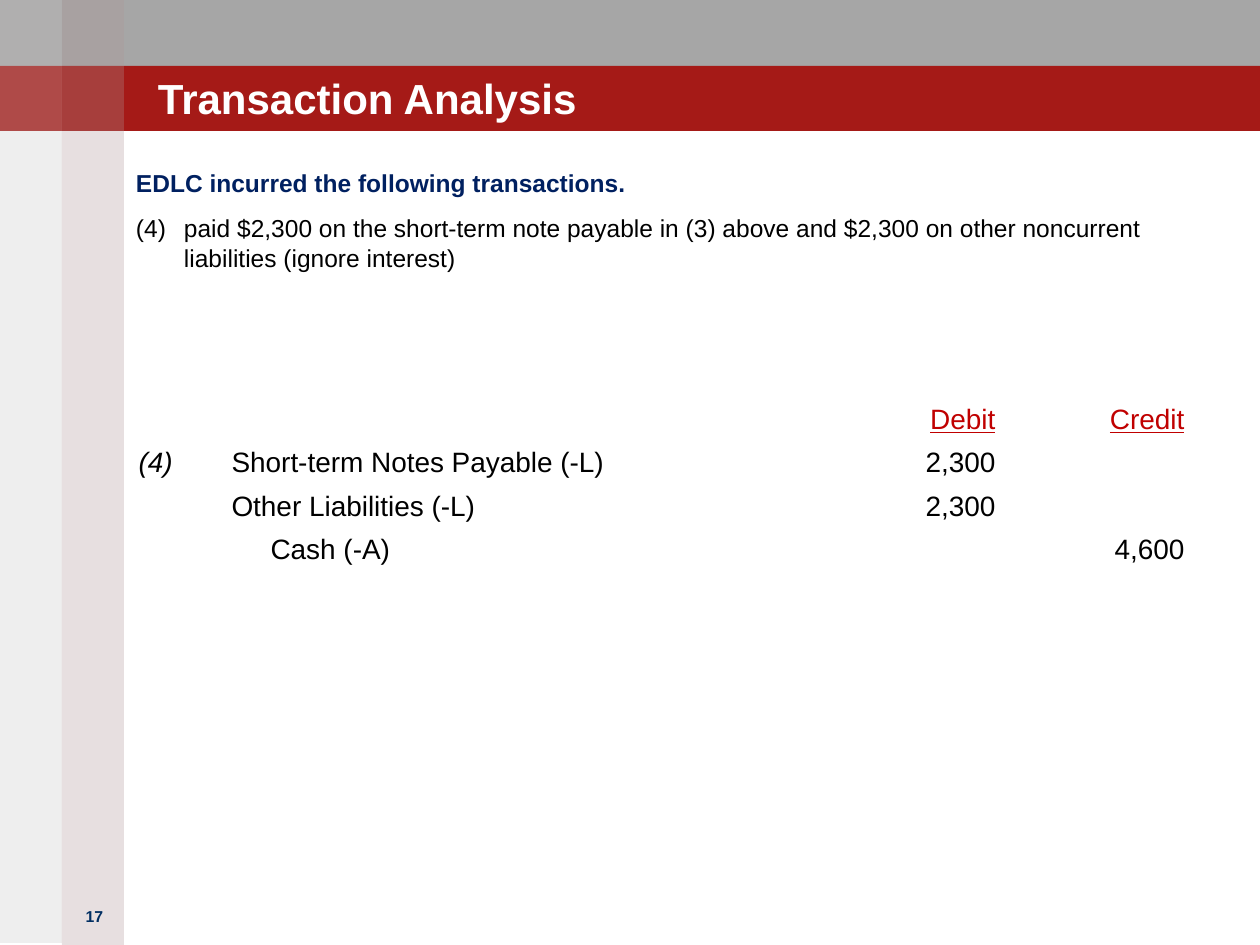
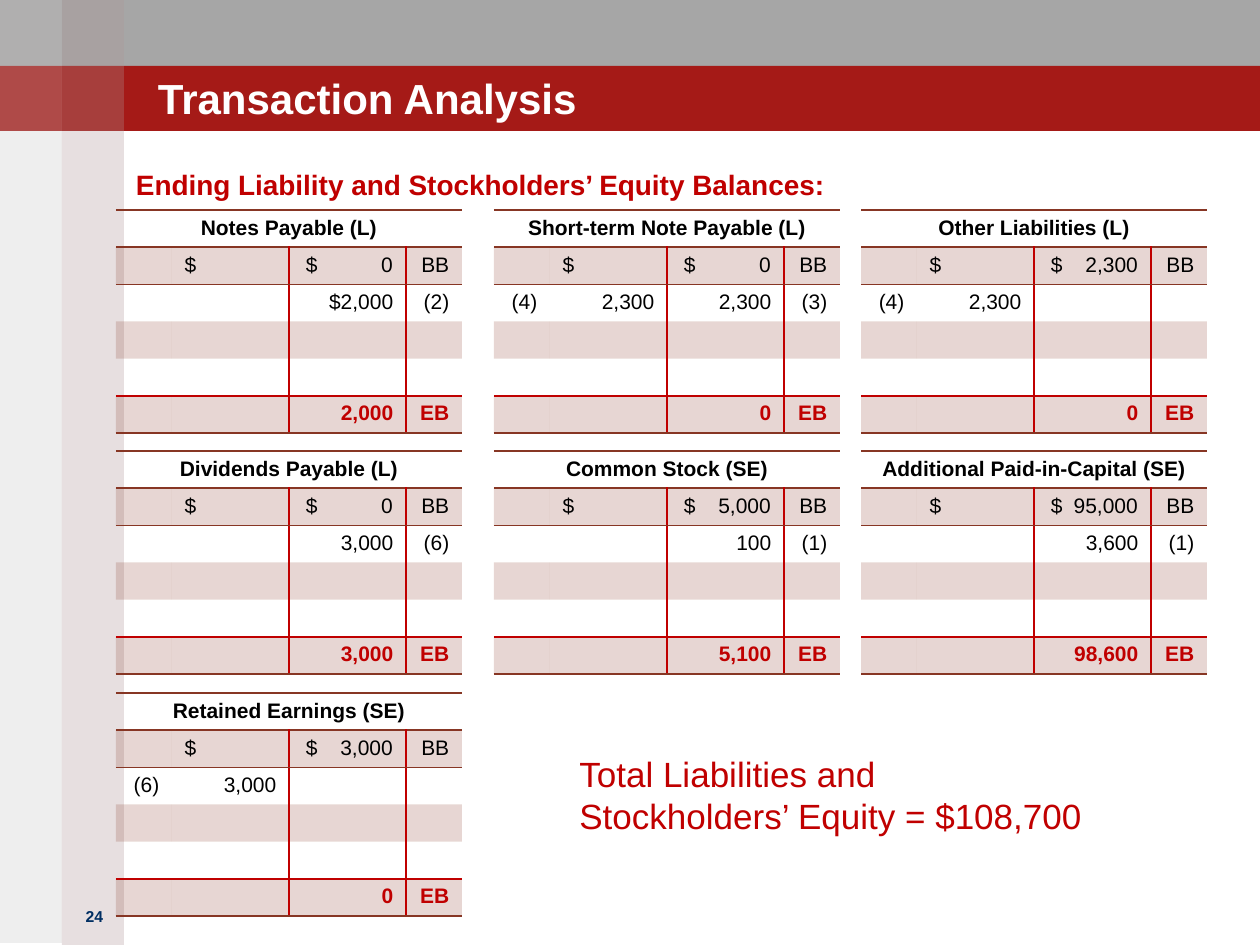
from lxml.etree import SubElement
from pptx import Presentation
from pptx.dml.color import RGBColor
from pptx.enum.shapes import MSO_SHAPE
from pptx.enum.text import MSO_ANCHOR, PP_ALIGN
from pptx.oxml.ns import qn
from pptx.util import Pt

PX = 914400 / 126
FONT = "Arial"
NO_STYLE = "{2D5ABB26-0587-4C30-8999-92F81FD0307C}"

GRAY = RGBColor(0xA6, 0xA6, 0xA6)
BRICK = RGBColor(0xA5, 0x1A, 0x17)
ROSE = RGBColor(0xA0, 0x82, 0x84)
ASH = RGBColor(0x93, 0x8F, 0x8F)
WHITE = RGBColor(0xFF, 0xFF, 0xFF)
BLACK = RGBColor(0, 0, 0)
NAVY = RGBColor(0x00, 0x20, 0x60)
NUMBER_BLUE = RGBColor(0x00, 0x2E, 0x62)
RED = RGBColor(0xC0, 0, 0)
BROWN = RGBColor(0x87, 0x36, 0x24)

TITLE = "Transaction Analysis"
BANDS = [
    (0, 0, 1260, 66, GRAY, 100),
    (0, 66, 1260, 65, BRICK, 100),
    (62, 0, 62, 945, ROSE, 25),
    (0, 0, 62, 943, ASH, 15),
    (62, 0, 62, 66, WHITE, 5),
    (0, 0, 62, 66, WHITE, 15),
    (62, 66, 62, 65, WHITE, 5),
    (0, 66, 62, 65, WHITE, 15),
]

INTRO = "EDLC incurred the following transactions."
TRANSACTION = ("paid $2,300 on the short-term note payable in (3) above "
               "and $2,300 on other noncurrent liabilities (ignore interest)")
JOURNAL = [
    ("", "", "Debit", "Credit"),
    ("(4)", "Short-term Notes Payable (-L)", "2,300", ""),
    ("", "Other Liabilities (-L)", "2,300", ""),
    ("", "Cash (-A)", "", "4,600"),
]
JOURNAL_COLS = (93, 631, 158, 189)
JOURNAL_ROW = 43.5

BALANCES = "Ending Liability and Stockholders’ Equity Balances:"
TOTAL = ("Total Liabilities and", "Stockholders’ Equity = $108,700")
ACCOUNT_X = (116, 494, 861)
ACCOUNT_Y = (210, 451, 693)
ACCOUNT_COLS = (56, 117, 117, 56)
ACCOUNT_ROW = 36
ACCOUNTS = [
    (0, 0, "Notes Payable (L)", "0", ("", "", "$2,000", "(2)"), "2,000"),
    (1, 0, "Short-term Note Payable (L)", "0", ("(4)", "2,300", "2,300", "(3)"), "0"),
    (2, 0, "Other Liabilities (L)", "2,300", ("(4)", "2,300", "", ""), "0"),
    (0, 1, "Dividends Payable (L)", "0", ("", "", "3,000", "(6)"), "3,000"),
    (0, 2, "Retained Earnings (SE)", "3,000", ("(6)", "3,000", "", ""), "0"),
    (1, 1, "Common Stock (SE)", "5,000", ("", "", "100", "(1)"), "5,100"),
    (2, 1, "Additional Paid-in-Capital (SE)", "95,000", ("", "", "3,600", "(1)"), "98,600"),
]


def emu(*px):
    return [round(v * PX) for v in px]


def set_alpha(fill_parent, percent):
    color = fill_parent.find(qn("a:solidFill"))[0]
    SubElement(color, qn("a:alpha"), val=str(percent * 1000))


def write(p, text, size, color=BLACK, bold=False, italic=False, underline=False):
    if not text:
        SubElement(p._p, qn("a:endParaRPr"), sz=str(size * 100))
        return
    r = p.add_run()
    r.text = text
    f = r.font
    f.name, f.size, f.bold, f.italic, f.underline = FONT, Pt(size), bold, italic, underline
    f.color.rgb = color


def add_text(s, x, y, w, h, inset=True, wrap=True):
    tf = s.shapes.add_textbox(*emu(x, y, w, h)).text_frame
    tf.word_wrap = wrap
    if not inset:
        tf.margin_left = tf.margin_right = tf.margin_top = tf.margin_bottom = 0
    return tf


def add_slide(prs, number):
    s = prs.slides.add_slide(prs.slide_layouts[6])
    for x, y, w, h, color, alpha in BANDS:
        band = s.shapes.add_shape(MSO_SHAPE.RECTANGLE, *emu(x, y, w, h))
        band.shadow.inherit = False
        band.fill.solid()
        band.fill.fore_color.rgb = color
        band.line.fill.background()
        if alpha < 100:
            set_alpha(band._element.spPr, alpha)
    p = add_text(s, 63, 901, 63, 63).paragraphs[0]
    p.alignment = PP_ALIGN.CENTER
    write(p, str(number), 9, NUMBER_BLUE, bold=True)
    tf = add_text(s, 158, 39, 998, 84, inset=False)
    tf.vertical_anchor = MSO_ANCHOR.BOTTOM
    write(tf.paragraphs[0], TITLE, 24, WHITE, bold=True)
    return s


def add_body(s, heading, size, color):
    tf = add_text(s, 136, 168, 1061, 735, inset=False)
    p = tf.paragraphs[0]
    p.space_before, p.space_after = Pt(3), Pt(6)
    write(p, heading, size, color, bold=True)
    return tf


def add_numbered(tf, text, start):
    p = tf.add_paragraph()
    p.space_before, p.space_after = Pt(3), Pt(6)
    pPr = p._p.get_or_add_pPr()
    indent, = emu(48)
    pPr.set("marL", str(indent))
    pPr.set("indent", str(-indent))
    SubElement(pPr, qn("a:buFont"), typeface=FONT)
    SubElement(pPr, qn("a:buAutoNum"), type="arabicParenBoth", startAt=str(start))
    write(p, text, 14)


def add_grid(s, x, y, cols, row_h, rows, margin):
    shape = s.shapes.add_table(rows, len(cols), *emu(x, y, sum(cols), row_h * rows))
    table = shape.table
    table.first_row = table.horz_banding = False
    table._tbl.tblPr.find(qn("a:tableStyleId")).text = NO_STYLE
    for col, w in zip(table.columns, emu(*cols)):
        col.width = w
    for row in table.rows:
        row.height, = emu(row_h)
    for cell in table.iter_cells():
        cell.margin_top, cell.margin_bottom = emu(margin, margin)
        cell.fill.background()
    return table


def add_journal(s):
    table = add_grid(s, 126, 399, JOURNAL_COLS, JOURNAL_ROW, len(JOURNAL), 5)
    for i, row in enumerate(JOURNAL):
        for j, text in enumerate(row):
            p = table.cell(i, j).text_frame.paragraphs[0]
            if j > 1:
                p.alignment = PP_ALIGN.RIGHT
            if text.startswith("Cash"):
                p._p.get_or_add_pPr().set("marL", str(emu(39)[0]))
            write(p, text, 16, RED if i == 0 else BLACK, italic=j == 0, underline=i == 0)


def style_account_cell(cell, i, j):
    edges = {}
    if i > 0:
        if j > 1:
            edges["lnL"] = RED
        if j in (1, 2):
            edges["lnR"] = RED
    if i in (0, 1, 5):
        edges["lnT"] = RED if i == 5 else BROWN
    if i in (0, 4, 5):
        edges["lnB"] = RED if i == 4 else BROWN
    tcPr = cell._tc.get_or_add_tcPr()
    for child in list(tcPr):
        tcPr.remove(child)
    for tag in ("lnL", "lnR", "lnT", "lnB"):
        if tag in edges:
            ln = SubElement(tcPr, qn("a:" + tag), w=str(Pt(1)))
            fill = SubElement(ln, qn("a:solidFill"))
            SubElement(fill, qn("a:srgbClr"), val=str(edges[tag]))
    if i % 2:
        cell.fill.solid()
        cell.fill.fore_color.rgb = BROWN
        set_alpha(tcPr, 20)
    else:
        cell.fill.background()


def add_account(s, col, row, name, opening, entry, ending):
    blank = ("",) * 4
    rows = [(name, "", "", ""), ("", "$", "$\t" + opening, "BB"), entry,
            blank, blank, ("", "", ending, "EB")]
    table = add_grid(s, ACCOUNT_X[col], ACCOUNT_Y[row], ACCOUNT_COLS, ACCOUNT_ROW, len(rows), 6)
    table.cell(0, 0).merge(table.cell(0, 3))
    for i, texts in enumerate(rows):
        for j, text in enumerate(texts):
            cell = table.cell(i, j)
            style_account_cell(cell, i, j)
            p = cell.text_frame.paragraphs[0]
            if "\t" in text:
                cell.margin_left, tab = emu(17, 87)
                tabs = SubElement(p._p.get_or_add_pPr(), qn("a:tabLst"))
                SubElement(tabs, qn("a:tab"), pos=str(tab), algn="r")
            elif i == 0:
                p.alignment = PP_ALIGN.CENTER
            elif text != "$":
                p.alignment = PP_ALIGN.RIGHT
            write(p, text, 12, RED if i == 5 else BLACK, bold=i in (0, 5))


def main():
    prs = Presentation()
    prs.slide_width, prs.slide_height = emu(1260, 945)

    s = add_slide(prs, 17)
    add_numbered(add_body(s, INTRO, 14, NAVY), TRANSACTION, 4)
    add_journal(s)

    s = add_slide(prs, 24)
    add_body(s, BALANCES, 16, RED)
    for account in ACCOUNTS:
        add_account(s, *account)
    p = add_text(s, 567, 746, 532, 97, wrap=False).paragraphs[0]
    write(p, TOTAL[0], 20, RED)
    p.add_line_break()
    write(p, TOTAL[1], 20, RED)

    prs.save("out.pptx")


if __name__ == "__main__":
    main()
